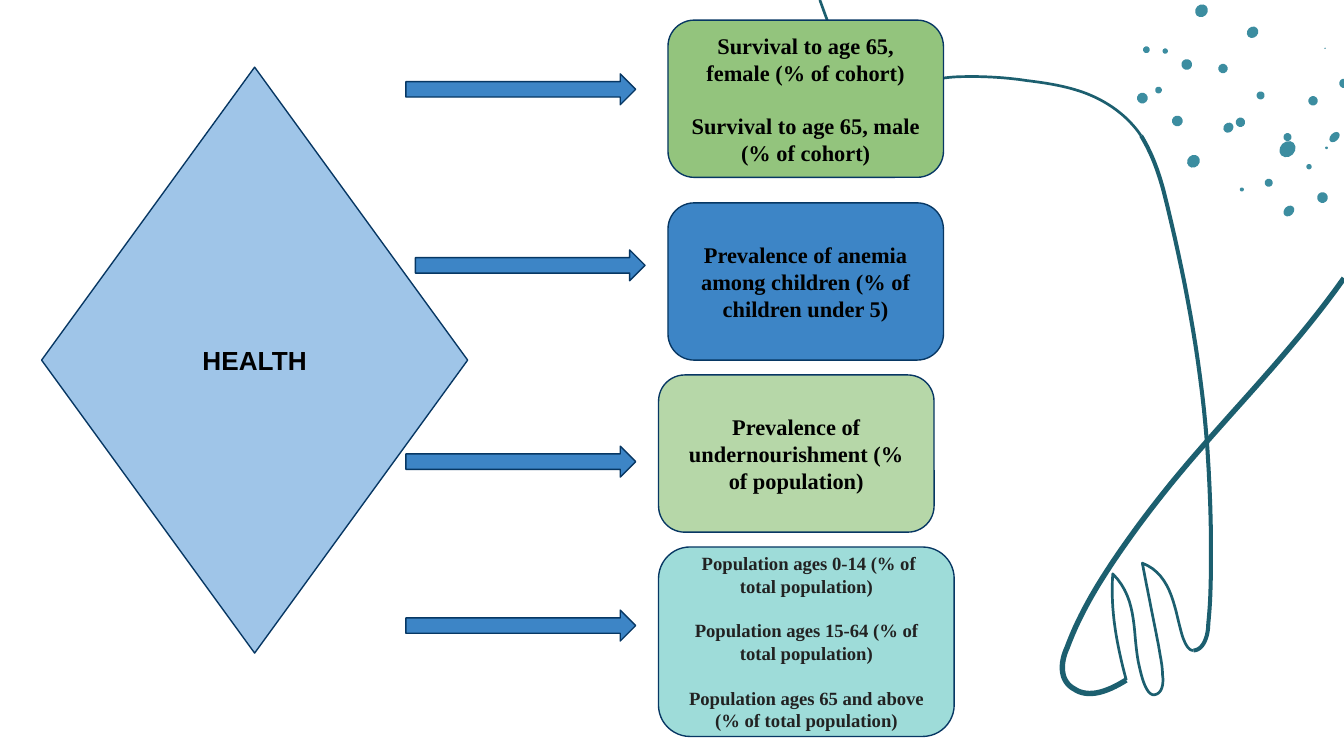
from pptx import Presentation
from pptx.dml.color import RGBColor
from pptx.enum.shapes import MSO_SHAPE as Preset
from pptx.enum.text import MSO_ANCHOR as Anchor, PP_ALIGN as Align
from pptx.util import Pt

PX = 9144
SANS = "Arial"
SERIF = "Times New Roman"
BLACK = RGBColor(0x00, 0x00, 0x00)
CHARCOAL = RGBColor(0x22, 0x22, 0x22)
NAVY = RGBColor(0x07, 0x37, 0x63)
BLUE = RGBColor(0x3D, 0x85, 0xC6)
PALE_BLUE = RGBColor(0x9F, 0xC5, 0xE8)
GREEN = RGBColor(0x93, 0xC4, 0x7D)
PALE_GREEN = RGBColor(0xB6, 0xD7, 0xA8)
AQUA = RGBColor(0x9E, 0xDC, 0xD9)
TEAL = RGBColor(0x3C, 0x8D, 0xA0)
DEEP_TEAL = RGBColor(0x1C, 0x5F, 0x6F)

DOTS = [
    (82, 111, 13, 11), (98, 124, 4, 4), (111, 110, 2, 2), (117, 102, 9, 6),
    (101, 75, 7, 7), (82, 102, 6, 6), (62, 71, 6, 6), (47, 91, 7, 7),
    (38, 95, 8, 7), (34, 51, 7, 7), (0, 90, 8, 8), (7, 48, 8, 8),
    (-14, 67, 5, 5), (-26, 73, 8, 8), (-9, 38, 4, 4), (-23, 37, 5, 5),
    (12, 120, 10, 9), (110, 36, 1, 1), (124, 62, 7, 7), (108, 147, 8, 8),
    (83, 157, 9, 7), (68, 136, 6, 6), (48, 141, 3, 3), (56, 24, 9, 8),
    (18, 8, 10, 9),
]

SLEEVE = [
    (0, 0), (4, 11), (8, 22), (12, 32), (18, 43), (26, 54), (40, 59),
    (46, 61), (52, 61), (59, 61), (70, 61), (82, 59), (93, 58),
    (100, 57), (107, 57), (114, 57), (127, 57), (141, 58), (154, 60),
    (171, 62), (189, 65), (204, 72), (219, 79), (231, 89), (239, 101),
]
WRIST = [
    (239, 101), (247, 114), (252, 128), (256, 143),
    (271, 203), (283, 265), (288, 329), (290, 358), (291, 383), (291, 408),
    (291, 427), (291, 446), (289, 464), (289, 474), (285, 484), (278, 484),
]
FINGERS = [
    (278, 484), (274, 484), (272, 479), (270, 474),
    (264, 455), (263, 428), (240, 419), (244, 440), (248, 460), (252, 480),
    (253, 487), (255, 495), (255, 502), (256, 508), (255, 517), (248, 517),
    (243, 516), (240, 506), (238, 497), (232, 474), (238, 447), (218, 427),
    (216, 454), (221, 480), (228, 506),
]
PALM = [
    (228, 506), (220, 511), (210, 516), (201, 516),
    (197, 516), (193, 515), (190, 513), (178, 507), (179, 493), (184, 482),
    (194, 455), (209, 431), (225, 408), (241, 385), (259, 362), (278, 340),
    (316, 296), (357, 254), (390, 207),
]
STROKES = [(SLEEVE, 2), (WRIST, 3), (FINGERS, 2), (PALM, 4)]


def add_text(shape, paragraphs, font=SERIF, size=12, color=BLACK, gap=0):
    frame = shape.text_frame
    frame.word_wrap = True
    frame.vertical_anchor = Anchor.MIDDLE
    frame.margin_left = frame.margin_right = 10 * PX
    frame.margin_top = frame.margin_bottom = 10 * PX
    for index, text in enumerate(paragraphs):
        para = frame.paragraphs[0] if index == 0 else frame.add_paragraph()
        para.alignment = Align.CENTER
        if index:
            para.space_before = Pt(gap)
        span = para.add_run()
        span.text = text
        span.font.name = font
        span.font.size = Pt(size)
        span.font.bold = True
        span.font.color.rgb = color


def add_preset(page, preset, box, fill, outline=NAVY):
    shape = page.shapes.add_shape(preset, *(round(length * PX) for length in box))
    shape.shadow.inherit = False
    shape.fill.solid()
    shape.fill.fore_color.rgb = fill
    if outline is None:
        shape.line.fill.background()
    else:
        shape.line.color.rgb = outline
        shape.line.width = Pt(0.75)
    return shape


def bezier_points(nodes, steps=16):
    points = [nodes[0]]
    for first in range(0, len(nodes) - 1, 3):
        corners = list(zip(*nodes[first:first + 4]))
        for step in range(1, steps + 1):
            t = step / steps
            weights = ((1 - t) ** 3, 3 * t * (1 - t) ** 2, 3 * t * t * (1 - t), t ** 3)
            points.append(tuple(sum(w * c for w, c in zip(weights, axis)) for axis in corners))
    return points


def draw_dots(page, left, top):
    for x, y, width, height in DOTS:
        box = (left + x - width / 2, top + y - height / 2, width, height)
        dot = add_preset(page, Preset.OVAL, box, TEAL, None)
        dot.rotation = 315


def draw_hand(page, left, top):
    for nodes, width in STROKES:
        points = [(round((left + x) * PX), round((top + y) * PX)) for x, y in bezier_points(nodes)]
        builder = page.shapes.build_freeform(*points[0])
        builder.add_line_segments(points[1:], close=False)
        stroke = builder.convert_to_shape()
        stroke.shadow.inherit = False
        stroke.fill.background()
        stroke.line.color.rgb = DEEP_TEAL
        stroke.line.width = width * PX


def draw_topic(page, box, title):
    diamond = add_preset(page, Preset.DIAMOND, box, PALE_BLUE)
    add_text(diamond, [title], font=SANS, size=14)


def draw_indicator(page, box, fill, paragraphs, **text_format):
    card = add_preset(page, Preset.ROUNDED_RECTANGLE, box, fill)
    add_text(card, paragraphs, **text_format)


def draw_arrows(page, left, top):
    for x, y in [(0, 0), (0, 277), (7, 131), (0, 399)]:
        add_preset(page, Preset.RIGHT_ARROW, (left + x, top + y, 171, 23), BLUE)


def main():
    deck = Presentation()
    deck.slide_width = 1000 * PX
    deck.slide_height = deck.slide_width * 9 // 16
    page = deck.slides.add_slide(deck.slide_layouts[6])
    draw_dots(page, 876, 0)
    draw_hand(page, 610, 0)
    draw_topic(page, (31, 50, 317, 436), "HEALTH")
    draw_indicator(page, (497, 15, 205, 117), GREEN, [
        "Survival to age 65, female (% of cohort)",
        "Survival to age 65, male (% of cohort)",
    ], gap=14)
    draw_indicator(page, (497, 151, 205, 117), BLUE, [
        "Prevalence of anemia among children (% of children under 5)",
    ])
    draw_indicator(page, (490, 279, 205, 117), PALE_GREEN, [
        "Prevalence of undernourishment (% of population)",
    ])
    draw_indicator(page, (490, 407, 220, 141), AQUA, [
        " Population ages 0-14 (% of total population)",
        "Population ages 15-64 (% of total population)",
        "Population ages 65 and above (% of total population)",
    ], size=10, color=CHARCOAL, gap=12)
    draw_arrows(page, 302, 55)
    deck.save("out.pptx")


if __name__ == "__main__":
    main()
